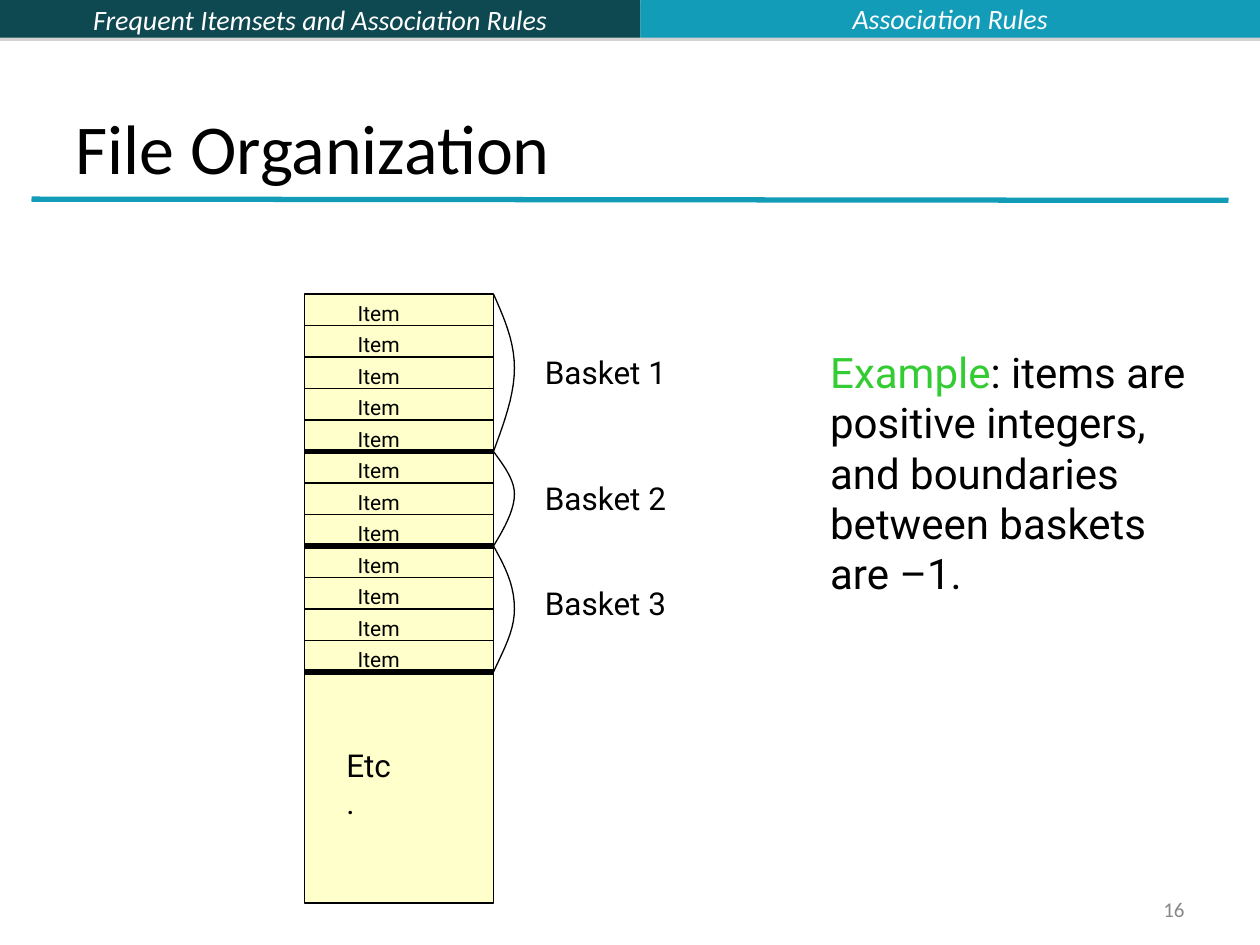
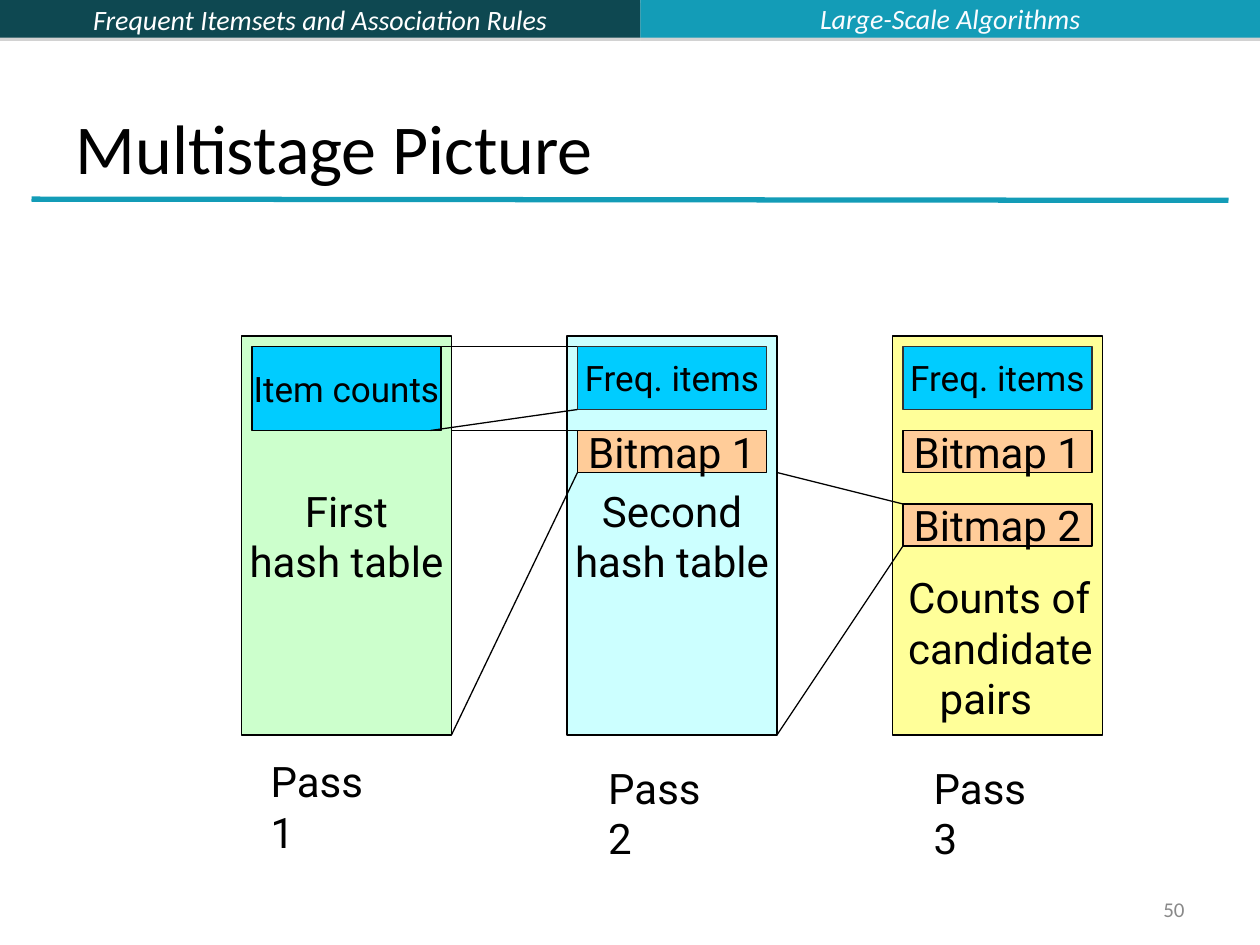
import lxml.etree
import pptx
import pptx.dml.color
import pptx.enum.shapes
import pptx.enum.text
import pptx.oxml.ns
import pptx.util

Pt = pptx.util.Pt
RGBColor = pptx.dml.color.RGBColor
ALIGN = pptx.enum.text.PP_ALIGN
ANCHOR = pptx.enum.text.MSO_ANCHOR
qn = pptx.oxml.ns.qn

BLACK = RGBColor(0x00, 0x00, 0x00)
WHITE = RGBColor(0xFF, 0xFF, 0xFF)
DARK_TEAL = RGBColor(0x0E, 0x48, 0x51)
TEAL = RGBColor(0x13, 0x9C, 0xB7)
SECTION_WHITE = RGBColor(0xFB, 0xFC, 0xFF)
NUMBER_GREY = RGBColor(0x89, 0x89, 0x89)
CHARCOAL = RGBColor(0x33, 0x33, 0x33)
EXAMPLE_GREEN = RGBColor(0x33, 0xCC, 0x33)
PALE_GREEN = RGBColor(0xCC, 0xFF, 0xCC)
PALE_CYAN = RGBColor(0xCC, 0xFF, 0xFF)
YELLOW = RGBColor(0xFF, 0xFF, 0x99)
SKY = RGBColor(0x00, 0xCC, 0xFF)
PEACH = RGBColor(0xFF, 0xCC, 0x99)

HEADING_FONT = "Calibri"
BODY_FONT = "Roboto"
SLIDE_WIDTH, SLIDE_HEIGHT = 720, 540
BAND_SPLIT, BAND_HEIGHT = 366, 21.6
COURSE = "Frequent Itemsets and Association Rules"

FILE_SLIDE = ("File Organization", "Association Rules", "16")
STACK_LEFT, STACK_TOP, STACK_WIDTH, STACK_HEIGHT = 174, 168, 108, 348
ROW_HEIGHT = 18
BASKETS = [
    {"name": "Basket 1", "items": 5, "label_drop": 30, "bend": 0.47},
    {"name": "Basket 2", "items": 3, "label_drop": 12, "bend": 0.45},
    {"name": "Basket 3", "items": 4, "label_drop": 18, "bend": 0.5},
]
EXAMPLE = [
    [("Example", EXAMPLE_GREEN), (": items are", BLACK)],
    "positive integers,",
    "and boundaries",
    "between baskets",
    "are –1.",
]

MULTISTAGE_SLIDE = ("Multistage Picture", "Large-Scale Algorithms", "50")
PASS_LEFT, PASS_STEP, PASS_TOP = 138, 186, 192
PASS_WIDTH, PASS_HEIGHT, PASS_MARGIN = 120, 228, 6
FREQUENT = ("Freq. items", 198, 36, SKY, CHARCOAL, 20)
BITMAP_1 = ("Bitmap 1", 246, 24, PEACH, BLACK, 24)
PASSES = [
    {"name": "Pass 1", "at": (9.6, 428.4), "fill": PALE_GREEN,
     "lines": ["First", "hash table"],
     "boxes": [("Item counts", 198, 48, SKY, BLACK, 20)]},
    {"name": "Pass 2", "at": (16.5, 432), "fill": PALE_CYAN,
     "lines": ["Second", "hash table"],
     "boxes": [BITMAP_1, FREQUENT]},
    {"name": "Pass 3", "at": (16.5, 432), "fill": YELLOW,
     "lines": [],
     "boxes": [BITMAP_1, ("Bitmap 2", 288, 24, PEACH, BLACK, 24), FREQUENT]},
]
CANDIDATES = ["Counts of", "candidate", "pairs"]
FLOWS = [
    (258, 420, 330, 270),
    (258, 246, 330, 246),
    (444, 270, 516, 288),
    (444, 420, 516, 312),
    (246, 246, 330, 234),
    (252, 198, 330, 198),
]


def write_text(shape, lines, size=24, font=BODY_FONT, color=BLACK, align=ALIGN.LEFT,
               anchor=ANCHOR.TOP, wrap=True, italic=False):
    frame = shape.text_frame
    frame.word_wrap = wrap
    frame.vertical_anchor = anchor
    for index, line in enumerate(lines):
        paragraph = frame.add_paragraph() if index else frame.paragraphs[0]
        paragraph.alignment = align
        for text, run_color in [(line, color)] if isinstance(line, str) else line:
            run = paragraph.add_run()
            run.text = text
            run.font.size = Pt(size)
            run.font.name = font
            run.font.italic = italic
            run.font.color.rgb = run_color
    return shape


def add_text(slide, lines, left, top, width, height, **style):
    box = slide.shapes.add_textbox(Pt(left), Pt(top), Pt(width), Pt(height))
    return write_text(box, lines, **style)


def add_box(slide, left, top, width, height, fill, line=BLACK):
    shape = slide.shapes.add_shape(pptx.enum.shapes.MSO_SHAPE.RECTANGLE,
                                   Pt(left), Pt(top), Pt(width), Pt(height))
    shape.shadow.inherit = False
    shape.fill.solid()
    shape.fill.fore_color.rgb = fill
    if line is None:
        shape.line.fill.background()
    else:
        shape.line.color.rgb = line
        shape.line.width = Pt(0.75)
    return shape


def add_line(slide, x1, y1, x2, y2, color=BLACK, width=0.75):
    line = slide.shapes.add_connector(pptx.enum.shapes.MSO_CONNECTOR.STRAIGHT,
                                      Pt(x1), Pt(y1), Pt(x2), Pt(y2))
    line.line.color.rgb = color
    line.line.width = Pt(width)
    lxml.etree.SubElement(line.element.spPr, qn("a:effectLst"))
    return line


def add_alpha(color_element, percent):
    lxml.etree.SubElement(color_element, qn("a:alpha"), val=str(percent * 1000))


def add_band_shadow(band):
    effects = band.element.spPr.find(qn("a:effectLst"))
    shadow = lxml.etree.SubElement(effects, qn("a:outerShdw"), blurRad="0",
                                   dist=str(Pt(1.8)), dir="5400000", rotWithShape="0")
    add_alpha(lxml.etree.SubElement(shadow, qn("a:srgbClr"), val="808080"), 35)


def furnish_layout(layout, slide):
    course_band = add_box(slide, 0, 0, BAND_SPLIT, BAND_HEIGHT, DARK_TEAL, line=None)
    write_text(course_band, [COURSE], size=16, font=HEADING_FONT, color=WHITE,
               align=ALIGN.CENTER, anchor=ANCHOR.MIDDLE, italic=True)
    section_band = add_box(slide, BAND_SPLIT, 0, SLIDE_WIDTH - BAND_SPLIT, BAND_HEIGHT,
                           TEAL, line=None)
    for band in (course_band, section_band):
        add_band_shadow(band)
    title_rule = add_line(slide, 18, 113.8, 702, 114.5, TEAL, 3)
    for number, shape in enumerate((course_band, section_band, title_rule), 101):
        shape.element.xpath(".//p:cNvPr")[0].set("id", str(number))
        layout.shapes.element.append(shape.element)
    title = layout.placeholders[0]
    title.left, title.top, title.width, title.height = Pt(36), Pt(21.6), Pt(648), Pt(90)


def add_headings(slide, title, section, number):
    write_text(slide.shapes.title, [title], size=40, font=HEADING_FONT,
               anchor=ANCHOR.BOTTOM)
    add_text(slide, [section], BAND_SPLIT, -2.9, SLIDE_WIDTH - BAND_SPLIT, 26.6,
             size=16, font=HEADING_FONT, color=SECTION_WHITE, align=ALIGN.CENTER,
             anchor=ANCHOR.MIDDLE, italic=True)
    add_text(slide, [number], 516, 510, 168, 19.4, size=12, font=HEADING_FONT,
             color=NUMBER_GREY, align=ALIGN.RIGHT, anchor=ANCHOR.MIDDLE)


def bezier(points, steps=10):
    (x0, y0), (x1, y1), (x2, y2), (x3, y3) = points
    for step in range(1, steps + 1):
        t = step / steps
        a, b, c, d = (1 - t) ** 3, 3 * t * (1 - t) ** 2, 3 * t * t * (1 - t), t ** 3
        yield (Pt(a * x0 + b * x1 + c * x2 + d * x3),
               Pt(a * y0 + b * y1 + c * y2 + d * y3))


def add_basket_arc(slide, left, top, height, bend):
    right, center = left + 12, left + 6
    middle, bottom = top + bend * height, top + height
    upper = [(left, top), (center, top + 0.15 * height),
             (right, top + 0.3 * height), (right, middle)]
    lower = [(right, middle), (right, middle + 0.17 * height),
             (center, bottom - 0.18 * height), (left, bottom)]
    builder = slide.shapes.build_freeform(Pt(left), Pt(top))
    builder.add_line_segments([*bezier(upper), *bezier(lower)], close=False)
    arc = builder.convert_to_shape()
    arc.shadow.inherit = False
    arc.fill.background()
    arc.line.color.rgb = BLACK
    arc.line.width = Pt(0.75)


def build_file_slide(slide):
    add_headings(slide, *FILE_SLIDE)
    stack = add_box(slide, STACK_LEFT, STACK_TOP, STACK_WIDTH, STACK_HEIGHT, YELLOW)
    add_alpha(stack.element.spPr.find(qn("a:solidFill"))[0], 50)
    stack_right = STACK_LEFT + STACK_WIDTH
    top = STACK_TOP
    for basket in BASKETS:
        height = basket["items"] * ROW_HEIGHT
        for row in range(basket["items"]):
            row_top = top + row * ROW_HEIGHT
            row_bottom = row_top + ROW_HEIGHT
            last = row == basket["items"] - 1
            add_line(slide, STACK_LEFT, row_bottom, stack_right, row_bottom,
                     width=3 if last else 0.75)
            add_text(slide, ["Item"], 197.3, row_top, 50, 21.6, size=12)
        add_text(slide, [basket["name"]], 304.3, top + basket["label_drop"], 100, 28.8,
                 size=18)
        add_basket_arc(slide, stack_right, top, height, basket["bend"])
        top += height
    add_text(slide, ["Etc."], 190.8, 422.6, 42, 50, size=18)
    add_text(slide, EXAMPLE, 467.3, 194.4, 229, 151.2)


def build_multistage_slide(slide):
    add_headings(slide, *MULTISTAGE_SLIDE)
    for index, stage in enumerate(PASSES):
        left = PASS_LEFT + index * PASS_STEP
        memory = add_box(slide, left, PASS_TOP, PASS_WIDTH, PASS_HEIGHT, stage["fill"])
        write_text(memory, stage["lines"], align=ALIGN.CENTER, anchor=ANCHOR.MIDDLE,
                   wrap=False)
        for text, top, height, fill, line, size in stage["boxes"]:
            box = add_box(slide, left + PASS_MARGIN, top, PASS_WIDTH - 2 * PASS_MARGIN,
                          height, fill, line)
            write_text(box, [text], size=size, align=ALIGN.CENTER,
                       anchor=ANCHOR.MIDDLE, wrap=False)
        label_offset, label_top = stage["at"]
        add_text(slide, [stage["name"]], left + label_offset, label_top, 80, 64)
    counts = add_text(slide, CANDIDATES, 511.9, 323.3, 125.3, 93.6)
    pairs = counts.text_frame.paragraphs[-1]
    pairs._p.get_or_add_pPr().set("marL", str(Pt(18)))
    for flow in FLOWS:
        add_line(slide, *flow)


def main():
    presentation = pptx.Presentation()
    presentation.slide_width = Pt(SLIDE_WIDTH)
    presentation.slide_height = Pt(SLIDE_HEIGHT)
    layout = presentation.slide_layouts[5]
    file_slide = presentation.slides.add_slide(layout)
    multistage_slide = presentation.slides.add_slide(layout)
    furnish_layout(layout, file_slide)
    build_file_slide(file_slide)
    build_multistage_slide(multistage_slide)
    presentation.save("out.pptx")


if __name__ == "__main__":
    main()
